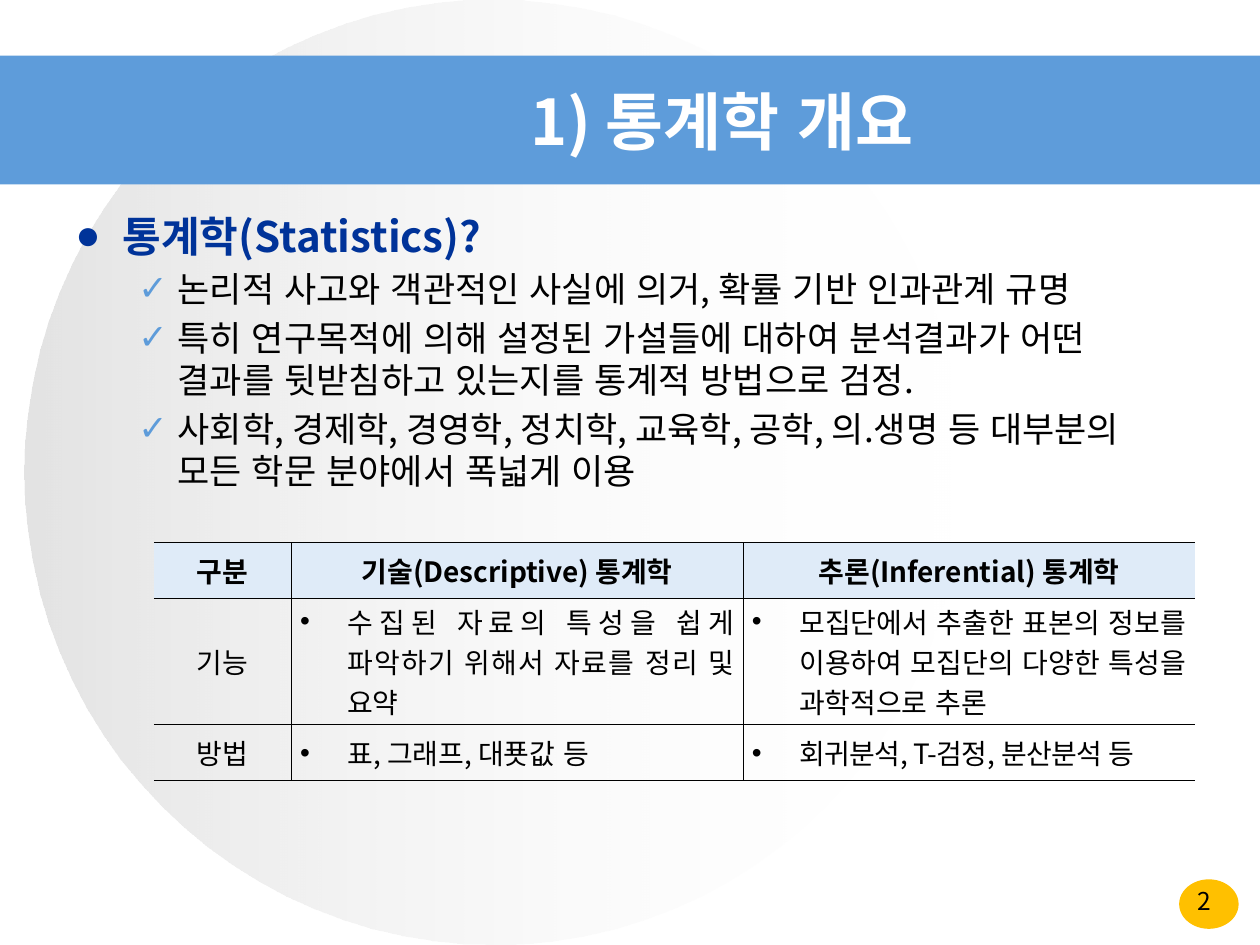
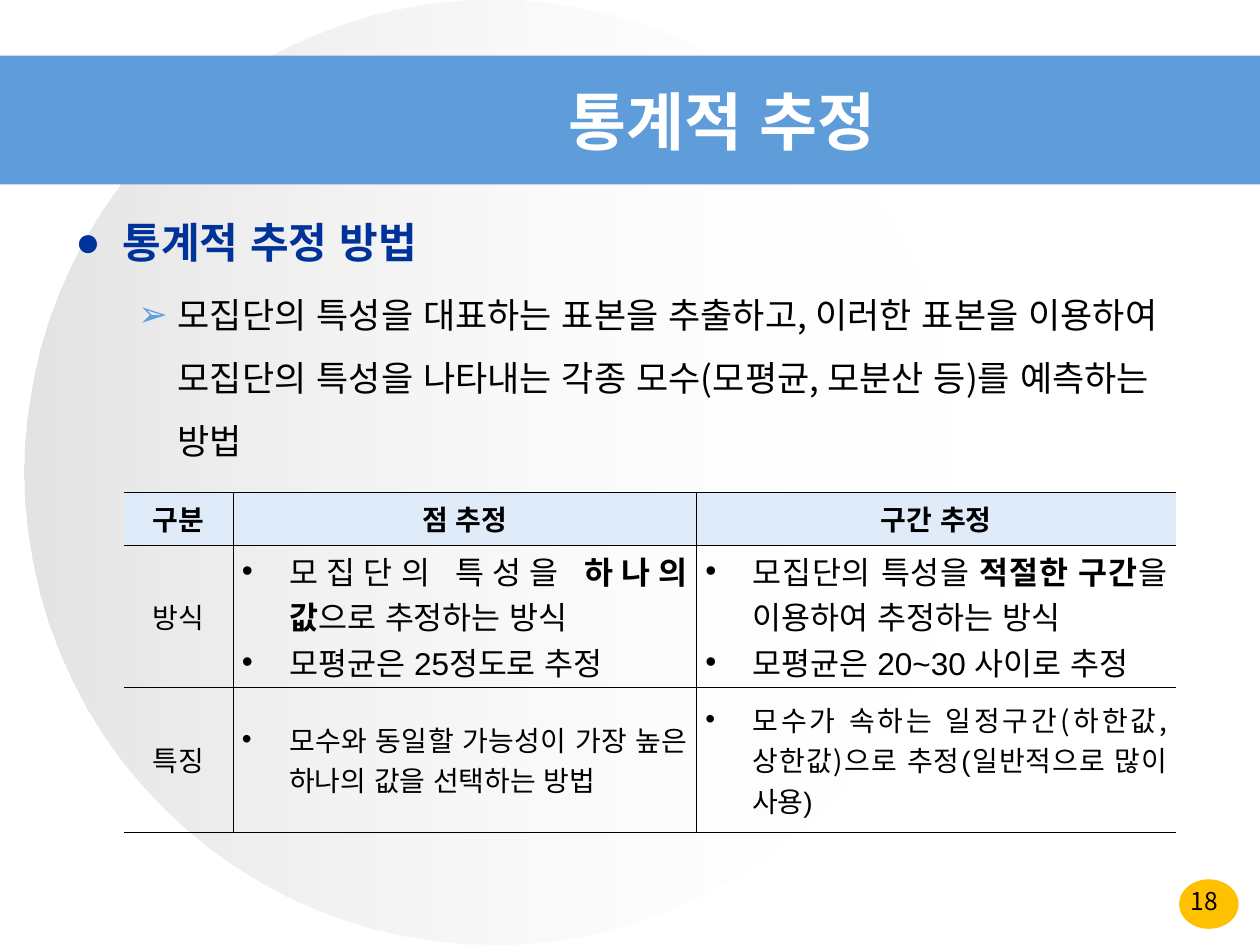
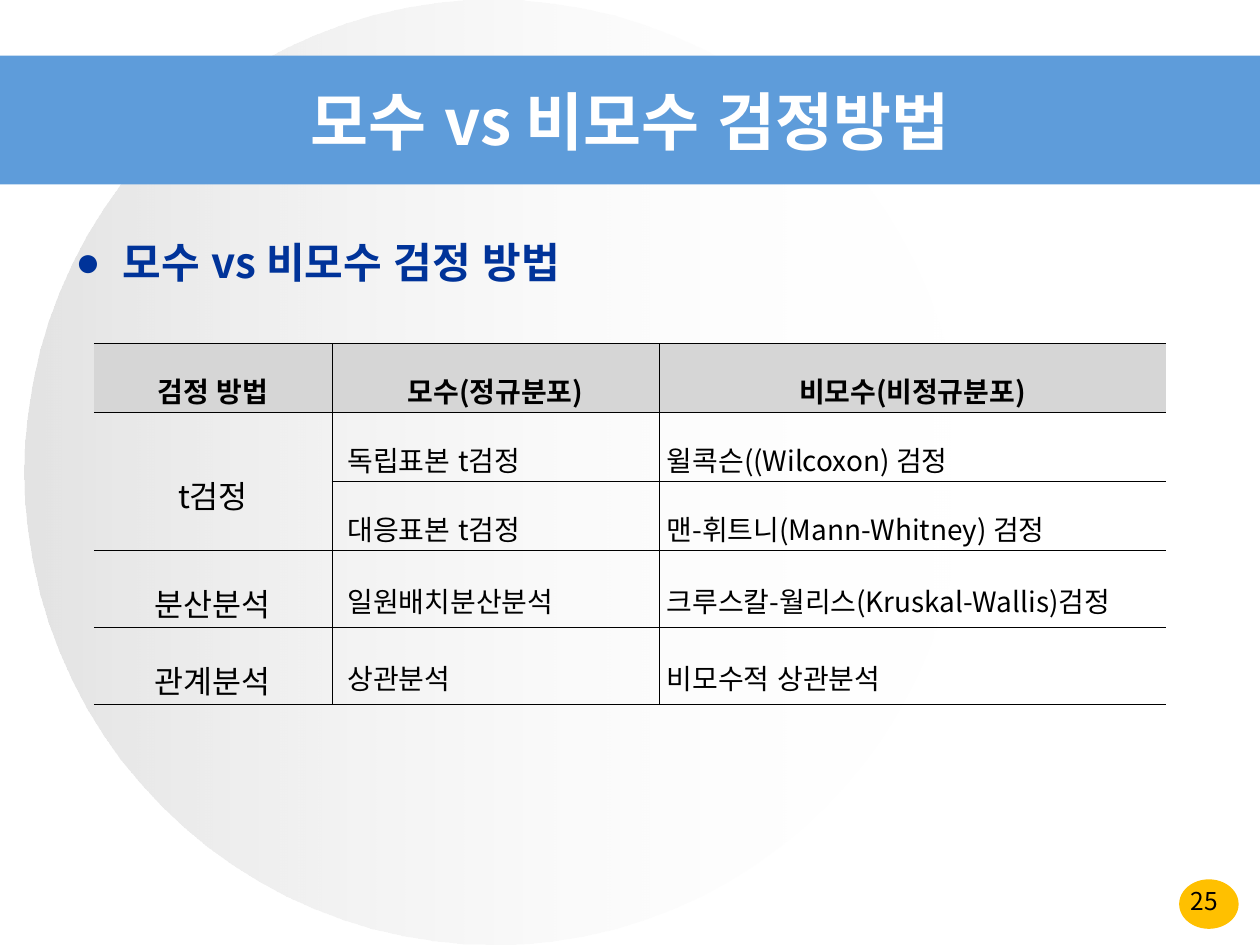
from pptx import Presentation
from pptx.dml.color import RGBColor
from pptx.enum.lang import MSO_LANGUAGE_ID
from pptx.enum.shapes import MSO_SHAPE
from pptx.enum.text import MSO_ANCHOR, MSO_AUTO_SIZE, PP_ALIGN
from pptx.oxml import parse_xml
from pptx.oxml.ns import nsdecls, qn
from pptx.util import Pt

OVAL, RECT = MSO_SHAPE.OVAL, MSO_SHAPE.RECTANGLE
MIDDLE = MSO_ANCHOR.MIDDLE
LEFT, CENTER, JUSTIFY = PP_ALIGN.LEFT, PP_ALIGN.CENTER, PP_ALIGN.JUSTIFY
NO_FIT = MSO_AUTO_SIZE.NONE
KOREAN = MSO_LANGUAGE_ID.KOREAN

NOTO, ARIAL = "Noto Sans CJK KR", "Arial"
BLUE, NAVY, AMBER = "5E9CDA", "003399", "FFC000"
BLACK, WHITE, SILVER = "000000", "FFFFFF", "C0C0C0"
PALE_BLUE, GREY = "DFEBF8", "D6D6D6"
WIDTH, HEIGHT = 720, 540
TITLE_TOP, TITLE_HEIGHT = 41.76, 54
BORDER = 0.28

HEADING = dict(size=24, bold=True, color=NAVY, bullet="●", bullet_color=NAVY,
               indent=(27, -27), before=4.8)
POINT = dict(size=20, bullet_color=BLUE, indent=(58.5, -22.5), level=1)
LABEL = dict(align=CENTER, fonts=(ARIAL, NOTO))
ITEM = dict(align=JUSTIFY, fonts=(ARIAL, NOTO))
BULLETED = dict(ITEM, bullet="•", indent=(27, -27))


def rgb(hex_color):
    return RGBColor.from_string(hex_color)


def ln_xml(side, visible):
    paint = (f'<a:solidFill><a:srgbClr val="{BLACK}"/></a:solidFill>'
             if visible else "<a:noFill/>")
    return f'<a:{side} {nsdecls("a")} w="{Pt(BORDER)}">{paint}</a:{side}>'


def add_bullet(p, char, color, indent):
    pPr = p._p.get_or_add_pPr()
    pPr.set("marL", str(Pt(indent[0])))
    pPr.set("indent", str(Pt(indent[1])))
    if char:
        for xml in (f'<a:buClr {nsdecls("a")}><a:srgbClr val="{color}"/></a:buClr>',
                    f'<a:buFont {nsdecls("a")} typeface="{ARIAL}"/>',
                    f'<a:buChar {nsdecls("a")} char="{char}"/>'):
            pPr.append(parse_xml(xml))


def write(p, text, size=16, bold=False, color=BLACK, fonts=(NOTO, NOTO), align=LEFT,
          spacing=None, before=None, level=0, bullet=None, bullet_color=BLACK,
          indent=None, tracking=None):
    """Fill a paragraph; "|" switches between the two fonts and "*" toggles bold."""
    p.alignment, p.level = align, level
    if spacing:
        p.line_spacing = spacing
    if before is not None:
        p.space_before = Pt(before)
    if indent:
        add_bullet(p, bullet, bullet_color, indent)
    for i, part in enumerate(text.split("|")):
        for j, piece in enumerate(part.split("*")):
            if not piece:
                continue
            r = p.add_run()
            r.text = piece
            r.font.size, r.font.bold = Pt(size), bold or j % 2 == 1
            r.font.color.rgb = rgb(color)
            r.font.name, r.font.language_id = fonts[i % 2], KOREAN
            rPr = r._r.get_or_add_rPr()
            rPr.find(qn("a:latin")).addnext(
                parse_xml(f'<a:ea {nsdecls("a")} typeface="{NOTO}"/>'))
            if tracking:
                rPr.set("spc", str(round(tracking * 100)))


class Deck:
    def __init__(self):
        self.prs = Presentation()
        self.prs.slide_width, self.prs.slide_height = Pt(WIDTH), Pt(HEIGHT)
        self.s = None

    def new_slide(self, title, number, title_left=105):
        self.s = self.prs.slides.add_slide(self.prs.slide_layouts[5])
        self.shape(OVAL, 673.8, 502.5, 34, 28.3, AMBER)
        self.fade(self.shape(OVAL, 14.1, 0, 535.7, HEIGHT, SILVER))
        self.shape(RECT, 0, 31.75, WIDTH, 73.7, BLUE)
        self.title(title, title_left)
        self.text_box(656.6, 502.5, 63.4, 21,
                      [(str(number), dict(size=14, align=CENTER))])

    def shape(self, kind, left, top, width, height, color):
        sp = self.s.shapes.add_shape(kind, Pt(left), Pt(top), Pt(width), Pt(height))
        sp.shadow.inherit = False
        sp.fill.solid()
        sp.fill.fore_color.rgb = rgb(color)
        sp.line.fill.background()
        return sp

    def fade(self, sp):
        """Grade a shape from translucent silver to clear white."""
        sp.fill.gradient()
        sp.fill.gradient_angle = 0
        for stop, color in zip(sp.fill.gradient_stops, (SILVER, WHITE)):
            stop.color.rgb = rgb(color)
        stops = sp._element.spPr.find(qn("a:gradFill")).iter(qn("a:srgbClr"))
        for clr, alpha in zip(stops, (44000, 0)):
            clr.append(parse_xml(f'<a:alpha {nsdecls("a")} val="{alpha}"/>'))

    def title(self, text, left):
        sp = self.s.shapes.title
        self.s.shapes._spTree.append(sp._element)
        sp.left, sp.top = Pt(left), Pt(TITLE_TOP)
        sp.width, sp.height = Pt(WIDTH - left), Pt(TITLE_HEIGHT)
        tf = sp.text_frame
        tf.auto_size, tf.vertical_anchor = NO_FIT, MIDDLE
        write(tf.paragraphs[0], text, size=36, bold=True, color=WHITE, align=CENTER)

    def text_box(self, left, top, width, height, paragraphs):
        sp = self.s.shapes.add_textbox(Pt(left), Pt(top), Pt(width), Pt(height))
        tf = sp.text_frame
        tf.word_wrap = True
        for i, (text, style) in enumerate(paragraphs):
            write(tf.add_paragraph() if i else tf.paragraphs[0], text, **style)

    def body(self, top, height, heading, points=(), spacing=None, **point_style):
        style = dict(POINT, spacing=spacing, **point_style)
        self.text_box(36, top, 651, height,
                      [(heading, dict(HEADING, spacing=spacing))]
                      + [(text, style) for text in points])

    def table(self, left, top, widths, heights, rows, styles, head_fill=PALE_BLUE,
              special=None, spacing=None, side_margin=5, merges=()):
        """Draw a ruled table; styles go by column, special ones by (row, column)."""
        tbl = self.s.shapes.add_table(len(rows), len(widths), Pt(left), Pt(top),
                                      Pt(sum(widths)), Pt(sum(heights))).table
        tbl.first_row = tbl.horz_banding = False
        for col, width in zip(tbl.columns, widths):
            col.width = Pt(width)
        for row, height in zip(tbl.rows, heights):
            row.height = Pt(height)
        for i, texts in enumerate(rows):
            for j, text in enumerate(texts):
                style = dict(styles[j] if i else dict(LABEL, bold=True), spacing=spacing)
                style.update((special or {}).get((i, j), {}))
                cell = tbl.cell(i, j)
                self.cell(cell, text, style, side_margin, j > 0, j < len(widths) - 1)
                if i:
                    cell.fill.background()
                else:
                    cell.fill.solid()
                    cell.fill.fore_color.rgb = rgb(head_fill)
        for first, last in merges:
            tbl.cell(*first).merge(tbl.cell(*last))

    def cell(self, cell, text, style, side_margin, left_line, right_line):
        cell.vertical_anchor = MIDDLE
        cell.margin_left = cell.margin_right = Pt(side_margin)
        cell.margin_top = cell.margin_bottom = Pt(1.4)
        tf = cell.text_frame
        for k, line in enumerate(text.split("\n")):
            write(tf.add_paragraph() if k else tf.paragraphs[0], line, **style)
        tcPr = cell._tc.get_or_add_tcPr()
        for side, visible in (("lnL", left_line), ("lnR", right_line),
                              ("lnT", True), ("lnB", True)):
            tcPr.append(parse_xml(ln_xml(side, visible)))


def overview(deck):
    deck.new_slide("1) 통계학 개요", 2)
    deck.body(116.6, 366, "통계학(Statistics)?", [
        "논리적 사고와 객관적인 사실에 의거, 확률 기반 인과관계 규명",
        "특히 연구목적에 의해 설정된 가설들에 대하여 분석결과가 어떤 결과를 "
        "뒷받침하고 있는지를 통계적 방법으로 검정.",
        "사회학, 경제학, 경영학, 정치학, 교육학, 공학, 의.생명 등 대부분의 모든 "
        "학문 분야에서 폭넓게 이용",
    ], bullet="✓", before=4)
    deck.table(88, 310, (78.5, 258.2, 258.2), (32, 72, 32), [
        ("구분", "기술|(Descriptive) |통계학", "추론|(Inferential) |통계학"),
        ("기능", "수집된 자료의 특성을 쉽게 파악하기 위해서 자료를 정리 및 요약",
         "모집단에서 추출한 표본의 정보를 이용하여 모집단의 다양한 특성을 과학적으로 추론"),
        ("방법", "표|, |그래프|, |대푯값 등", "회귀분석|, T-|검정|, |분산분석 등"),
    ], (LABEL, BULLETED, BULLETED), special={(2, 2): dict(tracking=-0.3)})


def estimation(deck):
    deck.new_slide("통계적 추정", 18)
    deck.body(105.8, 366, "통계적 추정 방법", [
        "모집단의 특성을 대표하는 표본을 추출하고, 이러한 표본을 이용하여 모집단의 "
        "특성을 나타내는 각종 모수(모평균, 모분산 등)를 예측하는 방법",
    ], spacing=1.5, bullet="➢", before=3)
    large = dict(size=18)
    deck.table(70.8, 281.3, (62.5, 264.8, 273.8), (30.2, 81, 83), [
        ("구분", "점 추정", "구간 추정"),
        ("방식", "모집단의 특성을 *하나의 값*으로 추정하는 방식\n모평균은 25정도로 추정",
         "모집단의 특성을 *적절한 구간*을 이용하여 추정하는 방식\n모평균은 20~30 사이로 추정"),
        ("특징", "모수와 동일할 가능성이 가장 높은 하나의 값을 선택하는 방법",
         "모수가 속하는 일정구간|(|하한값|, |상한값|)|으로 추정(일반적으로 많이 사용)"),
    ], (LABEL, BULLETED, BULLETED),
        special={(1, 1): large, (1, 2): large, (2, 2): dict(tracking=-0.3)})


def test_methods(deck):
    deck.new_slide("모수 vs 비모수 검정방법", 25, title_left=0)
    deck.body(131.8, 42, "모수 vs 비모수 검정 방법")
    deck.table(53.7, 196.3, (136, 187, 289.4), (39.4, 39.4, 39.4, 44, 44), [
        ("검정 방법", "모수|(|정규분포|)", "비모수|(|비정규분포|)"),
        ("|t|검정", "독립표본 |t|검정", "윌콕슨|((Wilcoxon) |검정"),
        ("", "대응표본 |t|검정", "맨|-|휘트니|(Mann-Whitney) |검정"),
        ("분산분석", "일원배치분산분석", "크루스칼|-|월리스|(Kruskal-Wallis)|검정"),
        ("관계분석", "상관분석", "비모수적 상관분석"),
    ], (dict(LABEL, size=18), dict(ITEM, indent=(4.5, 0)), ITEM),
        head_fill=GREY, spacing=1.6, side_margin=4.5, merges=[((1, 0), (2, 0))])


def main():
    deck = Deck()
    overview(deck)
    estimation(deck)
    test_methods(deck)
    deck.prs.save("out.pptx")


if __name__ == "__main__":
    main()
